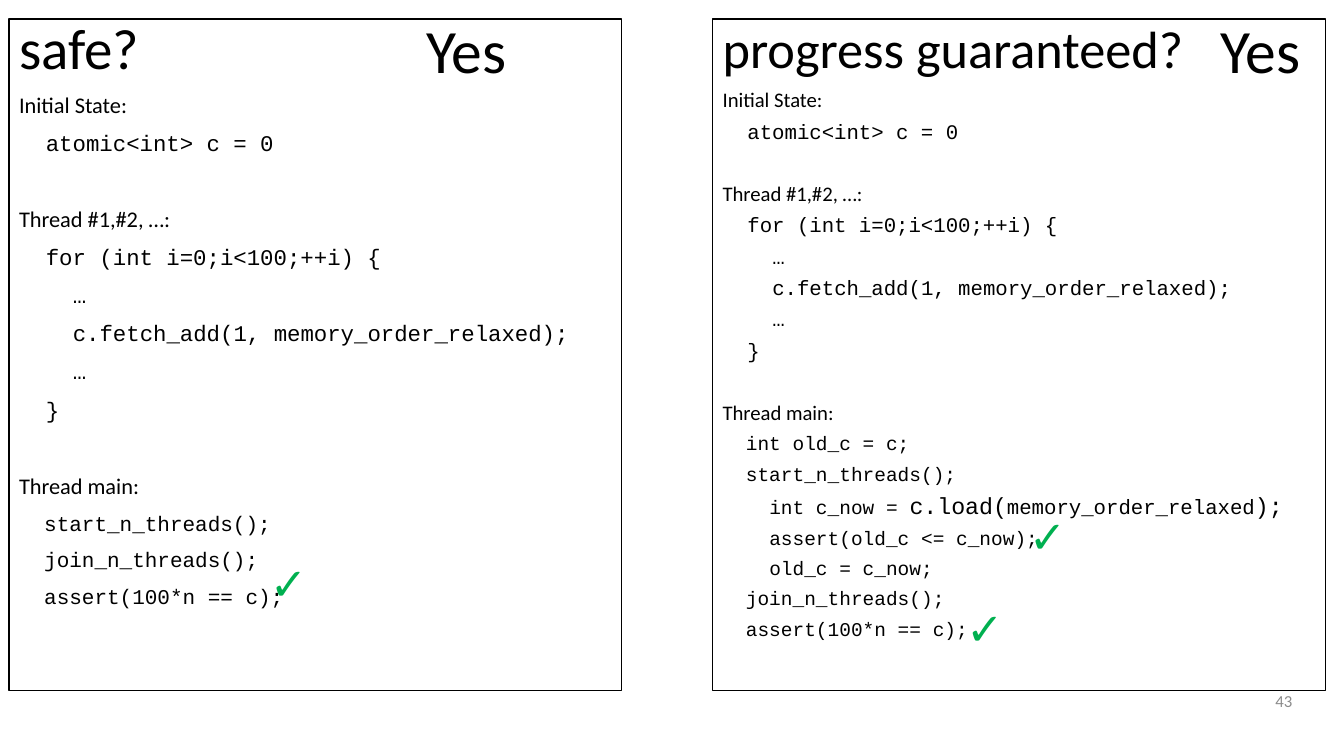
from pptx import Presentation
from pptx import util as u
from pptx.dml.color import RGBColor
from pptx.enum import shapes, text

SANS, MONO = "Calibri", "Courier New"
BLACK, WHITE, GREEN, GREY = "000000", "FFFFFF", "00B050", "8C8C8C"

START = ("Initial State:", [(1, "atomic<int> c = 0")])
LOOP = ("Thread #1,#2, …:", [
    (1, "for (int i=0;i<100;++i) {"),
    (2, "…"),
    (2, "c.fetch_add(1, memory_order_relaxed);"),
    (2, "…"),
    (1, "}"),
])
SAFE = ("Thread main:", [
    (1, "start_n_threads();"),
    (1, "join_n_threads();"),
    (1, "assert(100*n == c);"),
])
LOAD = [("int c_now = ", 13.9), ("c.load(", 16.6),
        ("memory_order_relaxed", 14.8), (");", 16.6)]
LIVE = ("Thread main:", [
    (1, "int old_c = c;"),
    (1, "start_n_threads();"),
    (2, LOAD),
    (2, "assert(old_c <= c_now);"),
    (2, "old_c = c_now;"),
    (1, "join_n_threads();"),
    (1, "assert(100*n == c);"),
])
PANELS = [
    dict(left=0.23, ask="safe?", size=40.7, wide=15.44, yes=10.49,
         main=16, small=15, pitch=0.9, gap=37, parts=[START, LOOP, SAFE]),
    dict(left=17.96, ask="progress guaranteed?", size=37.4, wide=12.29, yes=30.5,
         main=14.8, small=13.9, pitch=0.7, gap=32, parts=[START, LOOP, LIVE]),
]
CHECKS = [(6.55, 13.87), (24.1, 14.99), (25.68, 12.67)]
TOP, WIDE, HIGH, BODY = 0.48, 15.44, 16.92, 2.24


def tint(code):
    return RGBColor.from_string(code)


def put(item, values):
    for name, value in values.items():
        setattr(item, name, value)


def write(para, words, size, face=SANS, color=BLACK):
    run = para.add_run()
    run.text = words
    put(run.font, dict(size=u.Pt(size), name=face))
    run.font.color.rgb = tint(color)


def place(box, left, top, wide, high):
    put(box, dict(left=u.Cm(left), top=u.Cm(top), width=u.Cm(wide), height=u.Cm(high)))


def label(words, size, spot, color=BLACK, box=None, wrap=True, **form):
    box = box or slide.shapes.add_textbox(0, 0, 0, 0)
    place(box, *spot)
    put(box.text_frame, dict(word_wrap=wrap, auto_size=text.MSO_AUTO_SIZE.NONE,
                             vertical_anchor=text.MSO_ANCHOR.MIDDLE))
    para = box.text_frame.paragraphs[0]
    put(para, dict(alignment=text.PP_ALIGN.LEFT) | form)
    write(para, words, size, color=color)


def listing(plan):
    box = slide.shapes.add_textbox(0, 0, 0, 0)
    place(box, plan["left"], BODY, WIDE, TOP + HIGH - BODY)
    frame = box.text_frame
    frame.word_wrap = True
    para = frame.paragraphs[0]
    for i, (head, code) in enumerate(plan["parts"]):
        size = plan["small"] if i == 2 else plan["main"]
        rows = [(0, [(head, plan["main"])])]
        rows += [(d, [(c, size)] if isinstance(c, str) else c) for d, c in code]
        for depth, runs in rows:
            if depth or i:
                para = frame.add_paragraph()
            gap = 10 if depth or not i else plan["gap"]
            put(para, dict(line_spacing=plan["pitch"], space_before=u.Pt(gap)))
            para._p.get_or_add_pPr().set("marL", str(u.Pt(depth * 1.2 * size)))
            for words, pts in runs:
                write(para, words, pts, MONO if depth else SANS)


deck = Presentation()
put(deck, dict(slide_width=u.Cm(33.87), slide_height=u.Cm(19.05)))
slide = deck.slides.add_slide(deck.slide_layouts[5])
title = slide.shapes.title

for plan in PANELS:
    left = plan["left"]
    panel = slide.shapes.add_shape(shapes.MSO_SHAPE.RECTANGLE, 0, 0, 0, 0)
    place(panel, left, TOP, WIDE, HIGH)
    panel.shadow.inherit = False
    panel.fill.solid()
    panel.fill.fore_color.rgb = tint(WHITE)
    panel.line.color.rgb = tint(BLACK)
    panel.line.width = u.Pt(1)
    listing(plan)
    first = plan is PANELS[0]
    if first:
        slide.shapes._spTree.append(title._element)
    label(plan["ask"], plan["size"], (left, TOP, plan["wide"], 1.73),
          box=title if first else None, line_spacing=0.8)
    label("Yes", 44, (plan["yes"], TOP, left + WIDE - plan["yes"], 1.85), line_spacing=0.8)

label("43", 12, (25.2, 17.15, 7.62, 1.02), GREY, alignment=text.PP_ALIGN.RIGHT)
for x, y in CHECKS:
    label("✓", 32, (x, y, 1.4, 1.63), GREEN, wrap=False)

deck.save("out.pptx")
